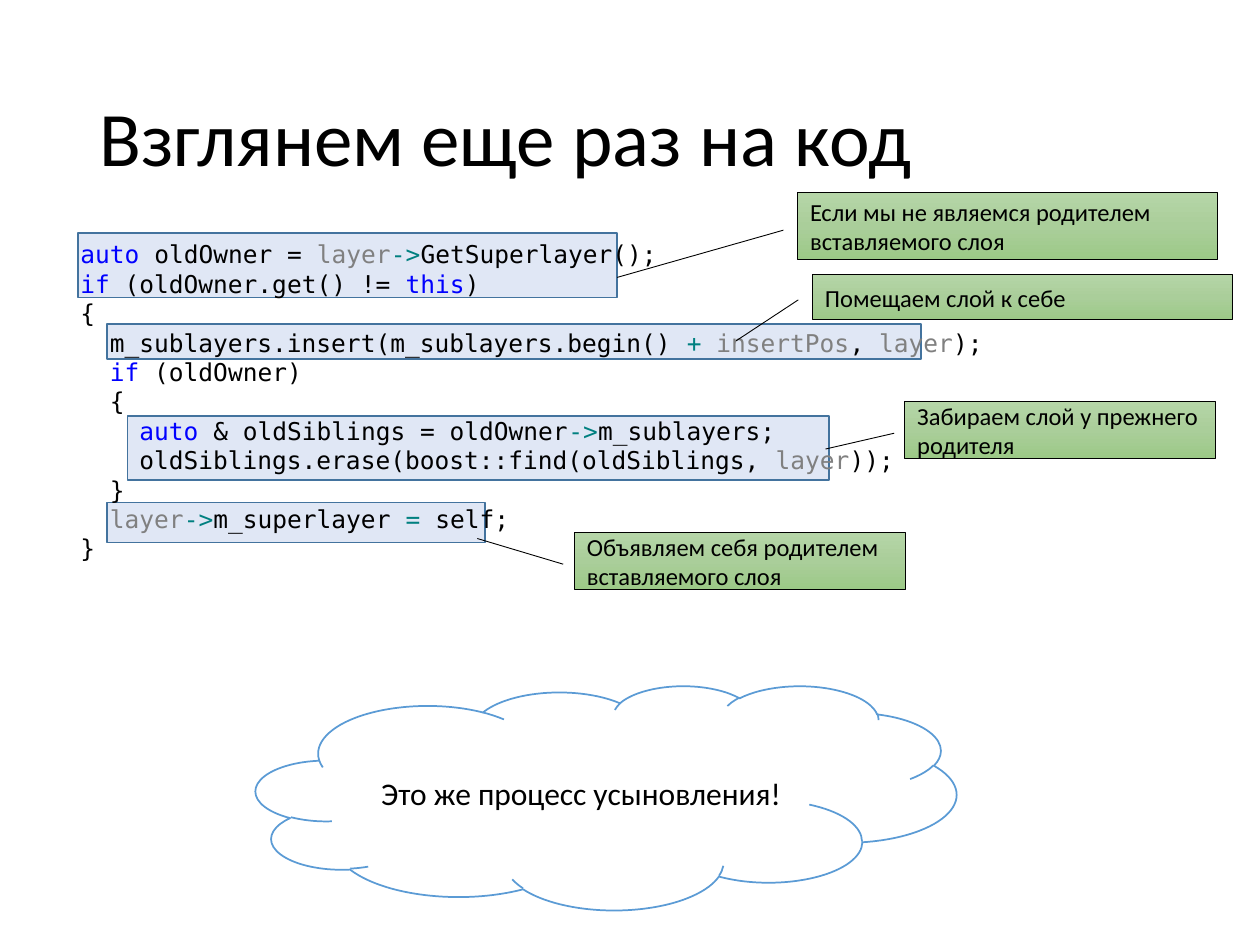
import copy

import pptx
import pptx.dml.color
import pptx.enum.shapes
import pptx.enum.text
import pptx.oxml
import pptx.oxml.ns
import pptx.util

Cm = pptx.util.Cm
Pt = pptx.util.Pt
SHAPE = pptx.enum.shapes.MSO_SHAPE
ALIGN = pptx.enum.text.PP_ALIGN
MIDDLE = pptx.enum.text.MSO_ANCHOR.MIDDLE

BODY_FONT = "Calibri"
CODE_FONT = "DejaVu Sans Mono"
BLACK = "000000"
CALLOUT_GRADIENT = ((0, "B5D5A7"), (0.5, "AACE9A"), (1, "9CC987"))

SYNTAX_COLOURS = {
    "auto": "0000FF", "if": "0000FF", "this": "0000FF",
    "layer": "808080", "insertPos": "808080",
    "->": "008080", "+": "008080", "=": "008080",
}

CODE_LINES = (
    "auto |oldOwner = |layer|->|GetSuperlayer();",
    "if| (oldOwner.get() != |this|)",
    "{",
    "  m_sublayers.insert(m_sublayers.begin() |+ |insertPos|, |layer|);",
    "  |if| (oldOwner)",
    "  {",
    "    |auto| & oldSiblings = oldOwner|->|m_sublayers;",
    "    oldSiblings.erase(boost::find(oldSiblings, |layer|));",
    "  }",
    "  |layer|->|m_superlayer |= |self;",
    "}",
)

HIGHLIGHTS = (
    (1.57, 4.7, 10.87, 1.3),
    (2.16, 6.53, 16.41, 0.71),
    (2.57, 8.38, 14.15, 1.3),
    (2.16, 10.13, 7.62, 0.81),
)

CALLOUTS = (
    ("Если мы не являемся родителем вставляемого слоя",
     (16.08, 3.89, 8.46, 1.35), (1.262, -0.43)),
    ("Помещаем слой к себе",
     (16.38, 5.54, 8.46, 0.91), (1.463, -0.182)),
    ("Забираем слой у прежнего родителя",
     (18.24, 8.1, 6.27, 1.14), (0.836, -0.255)),
    ("Объявляем себя родителем вставляемого слоя",
     (11.58, 10.74, 6.68, 1.14), (0.103, -0.293)),
)


def colour(hex_string):
    return pptx.dml.color.RGBColor.from_string(hex_string)


def lengths(box):
    return [Cm(value) for value in box]


def format_run(run, size, font=BODY_FONT, text_colour=BLACK):
    run.font.size = Pt(size)
    run.font.name = font
    run.font.color.rgb = colour(text_colour)


def write_label(frame, text, size, align):
    frame.text = text
    frame.word_wrap = True
    frame.vertical_anchor = MIDDLE
    paragraph = frame.paragraphs[0]
    paragraph.alignment = align
    format_run(paragraph.runs[0], size)
    return paragraph


def add_outlined(slide, kind, box, line_colour, line_width):
    shape = slide.shapes.add_shape(kind, *lengths(box))
    shape.shadow.inherit = False
    shape.line.color.rgb = colour(line_colour)
    shape.line.width = Pt(line_width)
    return shape


def set_title(slide, text):
    title = slide.shapes.title
    title.left, title.top, title.width, title.height = lengths((1.75, 1.02, 21.9, 3.68))
    paragraph = write_label(title.text_frame, text, 44, ALIGN.LEFT)
    paragraph.line_spacing = 0.9


def add_highlight(slide, box):
    highlight = add_outlined(slide, SHAPE.RECTANGLE, box, "43739E", 1)
    highlight.fill.solid()
    highlight.fill.fore_color.rgb = colour("B4C7E7")
    solid = highlight.element.spPr.find(pptx.oxml.ns.qn("a:solidFill"))
    alpha = pptx.oxml.parse_xml(f'<a:alpha {pptx.oxml.ns.nsdecls("a")} val="41000"/>')
    solid[0].append(alpha)


def add_code(slide):
    code = slide.shapes.add_textbox(*lengths((1.37, 4.7, 22.96, 6.83)))
    frame = code.text_frame
    frame.word_wrap = True
    frame.auto_size = pptx.enum.text.MSO_AUTO_SIZE.SHAPE_TO_FIT_TEXT
    for index, line in enumerate(CODE_LINES):
        paragraph = frame.add_paragraph() if index else frame.paragraphs[0]
        for token in line.split("|"):
            run = paragraph.add_run()
            run.text = token
            format_run(run, 14, CODE_FONT, SYNTAX_COLOURS.get(token.strip(), BLACK))
    paragraph.space_after = Pt(8)


def fill_gradient(shape, stops):
    shape.fill.gradient()
    shape.fill.gradient_angle = 270
    stop_list = next(shape.element.spPr.iter(pptx.oxml.ns.qn("a:gsLst")))
    stop_list.insert(1, copy.deepcopy(stop_list[0]))
    for stop, (position, stop_colour) in zip(shape.fill.gradient_stops, stops):
        stop.position = position
        stop.color.rgb = colour(stop_colour)


def add_callout(slide, text, box, pointer):
    callout = add_outlined(slide, SHAPE.LINE_CALLOUT_1, box, BLACK, 0.5)
    for index, value in enumerate((0.557, -0.034, *pointer)):
        callout.adjustments[index] = value
    fill_gradient(callout, CALLOUT_GRADIENT)
    write_label(callout.text_frame, text, 14, ALIGN.LEFT)


def add_cloud(slide, text):
    cloud = add_outlined(slide, SHAPE.CLOUD, (5.16, 13.82, 14.12, 4.52), "5B9BD5", 1)
    cloud.fill.solid()
    cloud.fill.fore_color.rgb = colour("FFFFFF")
    write_label(cloud.text_frame, text, 18, ALIGN.CENTER)


def main():
    presentation = pptx.Presentation()
    presentation.slide_width = Cm(25.4)
    presentation.slide_height = Cm(19.05)
    slide = presentation.slides.add_slide(presentation.slide_layouts[5])
    set_title(slide, "Взглянем еще раз на код")
    for box in HIGHLIGHTS:
        add_highlight(slide, box)
    add_code(slide)
    for text, box, pointer in CALLOUTS:
        add_callout(slide, text, box, pointer)
    add_cloud(slide, "Это же процесс усыновления!")
    presentation.save("out.pptx")


if __name__ == "__main__":
    main()
